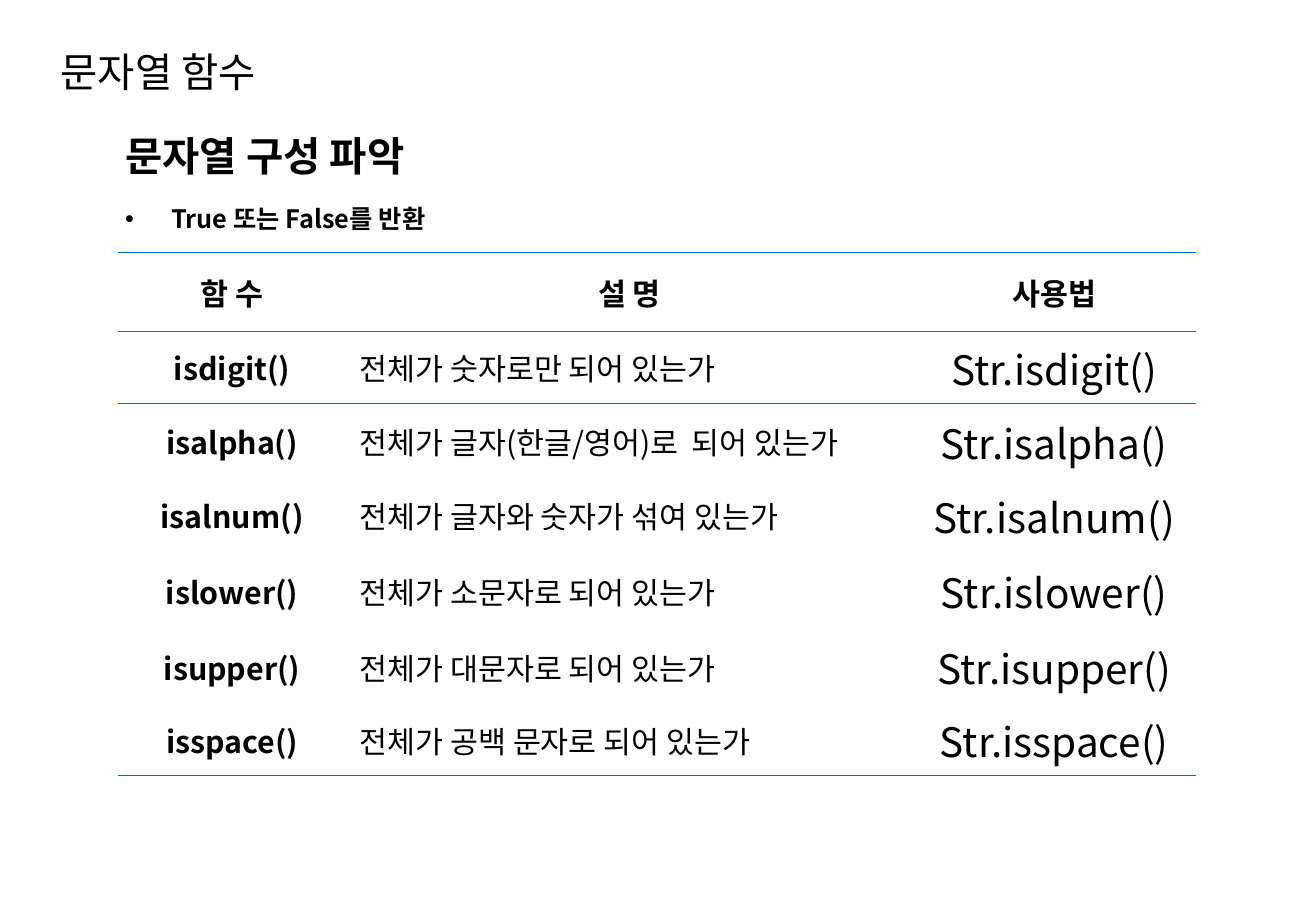
from dataclasses import dataclass
from typing import Any, NamedTuple, Optional

from lxml.etree import SubElement
from pptx import Presentation
from pptx.dml.color import RGBColor
from pptx.enum.text import MSO_ANCHOR as Anchor, MSO_AUTO_SIZE as AutoSize, PP_ALIGN as Align
from pptx.oxml.ns import qn
from pptx.util import Inches, Pt


@dataclass(frozen=True)
class Theme:
    font: str = "Noto Sans CJK KR"
    text: str = "000000"
    rule: str = "0070C0"
    header_rule: str = "595959"
    heading_size: int = 24
    table_size: int = 18
    bullet_size: int = 15


class Rule(NamedTuple):
    color: str
    width: float


class StringFunction(NamedTuple):
    name: str
    description: str

    def cells(self) -> tuple[str, str, str]:
        return self.name, self.description, f"Str.{self.name}"


class Column(NamedTuple):
    header: str
    width: float
    align: Align
    size: int
    bold: bool


THEME = Theme()
BLUE_RULE = Rule(THEME.rule, 1)
RULES = {0: BLUE_RULE, 1: Rule(THEME.header_rule, 0.5), 2: BLUE_RULE, 7: BLUE_RULE}
ROW_HEIGHTS = (0.65, 0.59, 0.63, 0.59, 0.65, 0.61, 0.55)
COLUMNS = (
    Column("함 수", 1.88, Align.CENTER, THEME.table_size, True),
    Column("설 명", 4.66, Align.LEFT, THEME.table_size, False),
    Column("사용법", 2.33, Align.CENTER, THEME.heading_size, False),
)
FUNCTIONS = (
    StringFunction("isdigit()", "전체가 숫자로만 되어 있는가"),
    StringFunction("isalpha()", "전체가 글자(한글/영어)로  되어 있는가"),
    StringFunction("isalnum()", "전체가 글자와 숫자가 섞여 있는가"),
    StringFunction("islower()", "전체가 소문자로 되어 있는가"),
    StringFunction("isupper()", "전체가 대문자로 되어 있는가"),
    StringFunction("isspace()", "전체가 공백 문자로 되어 있는가"),
)


def apply_format(target: Any, values: dict[str, Any]) -> None:
    for name, value in values.items():
        setattr(target, name, value)


def write_text(paragraph: Any, text: str, size: int, bold: bool, **layout: Any) -> None:
    apply_format(paragraph, {"space_before": Pt(0), **layout})
    run = paragraph.add_run()
    run.text = text
    apply_format(run.font, {"name": THEME.font, "size": Pt(size), "bold": bold})
    run.font.color.rgb = RGBColor.from_string(THEME.text)
    SubElement(run.font._element, qn("a:ea"), typeface=THEME.font)


def set_bullet(paragraph: Any, indent: float, character: Optional[str] = None) -> None:
    properties = paragraph._p.get_or_add_pPr()
    properties.set("marL", str(Inches(indent)))
    properties.set("indent", str(-Inches(indent)))
    if character:
        SubElement(properties, qn("a:buChar"), char=character)
    else:
        SubElement(properties, qn("a:buNone"))


def place(shape: Any, left: float, top: float, width: float, height: float) -> None:
    apply_format(shape, {
        "left": Inches(left), "top": Inches(top),
        "width": Inches(width), "height": Inches(height),
    })


def set_borders(cell: Any, top: Optional[Rule], bottom: Optional[Rule]) -> None:
    properties = cell._tc.get_or_add_tcPr()
    for tag, rule in (("lnL", None), ("lnR", None), ("lnT", top), ("lnB", bottom)):
        line = SubElement(properties, qn(f"a:{tag}"))
        if rule:
            line.set("w", str(Pt(rule.width)))
            fill = SubElement(line, qn("a:solidFill"))
            SubElement(fill, qn("a:srgbClr"), val=rule.color)
        else:
            SubElement(line, qn("a:noFill"))


def add_title(slide: Any) -> None:
    title = slide.shapes.title
    place(title, 0.4, 0.32, 6.26, 0.54)
    apply_format(title.text_frame, {"vertical_anchor": Anchor.MIDDLE, "auto_size": AutoSize.NONE})
    write_text(title.text_frame.paragraphs[0], "문자열 함수", THEME.heading_size, False,
               alignment=Align.LEFT)


def add_body(slide: Any) -> None:
    body = slide.placeholders[1]
    place(body, 0.93, 1.07, 8.91, 1)
    frame = body.text_frame
    apply_format(frame, {
        "word_wrap": True, "auto_size": AutoSize.NONE, "vertical_anchor": Anchor.TOP,
    })
    heading = frame.paragraphs[0]
    write_text(heading, "문자열 구성 파악", THEME.heading_size, True, line_spacing=0.9)
    set_bullet(heading, 0)
    item = frame.add_paragraph()
    write_text(item, "True 또는 False를 반환", THEME.bullet_size, True,
               line_spacing=0.9, space_before=Pt(16))
    set_bullet(item, 0.38, "•")


def add_function_table(slide: Any) -> None:
    rows = [tuple(column.header for column in COLUMNS)]
    rows += [function.cells() for function in FUNCTIONS]
    table = slide.shapes.add_table(
        len(rows), len(COLUMNS), Inches(0.97), Inches(2.08),
        Inches(sum(column.width for column in COLUMNS)), Inches(sum(ROW_HEIGHTS)),
    ).table
    apply_format(table, {"first_row": False, "horz_banding": False})
    for index, column in enumerate(COLUMNS):
        table.columns[index].width = Inches(column.width)
    for row_index, texts in enumerate(rows):
        table.rows[row_index].height = Inches(ROW_HEIGHTS[row_index])
        is_header = row_index == 0
        for column_index, (column, text) in enumerate(zip(COLUMNS, texts)):
            cell = table.cell(row_index, column_index)
            apply_format(cell, {
                "vertical_anchor": Anchor.MIDDLE,
                "margin_left": Inches(0.11), "margin_right": Inches(0.11),
                "margin_top": Inches(0.05), "margin_bottom": Inches(0.05),
            })
            write_text(
                cell.text_frame.paragraphs[0], text,
                THEME.table_size if is_header else column.size,
                is_header or column.bold,
                alignment=Align.CENTER if is_header else column.align,
            )
            set_borders(cell, RULES.get(row_index), RULES.get(row_index + 1))
            cell.fill.background()


def main() -> None:
    presentation = Presentation()
    apply_format(presentation, {"slide_width": Inches(10.83), "slide_height": Inches(7.5)})
    slide = presentation.slides.add_slide(presentation.slide_layouts[1])
    add_title(slide)
    add_function_table(slide)
    add_body(slide)
    presentation.save("out.pptx")


main()
